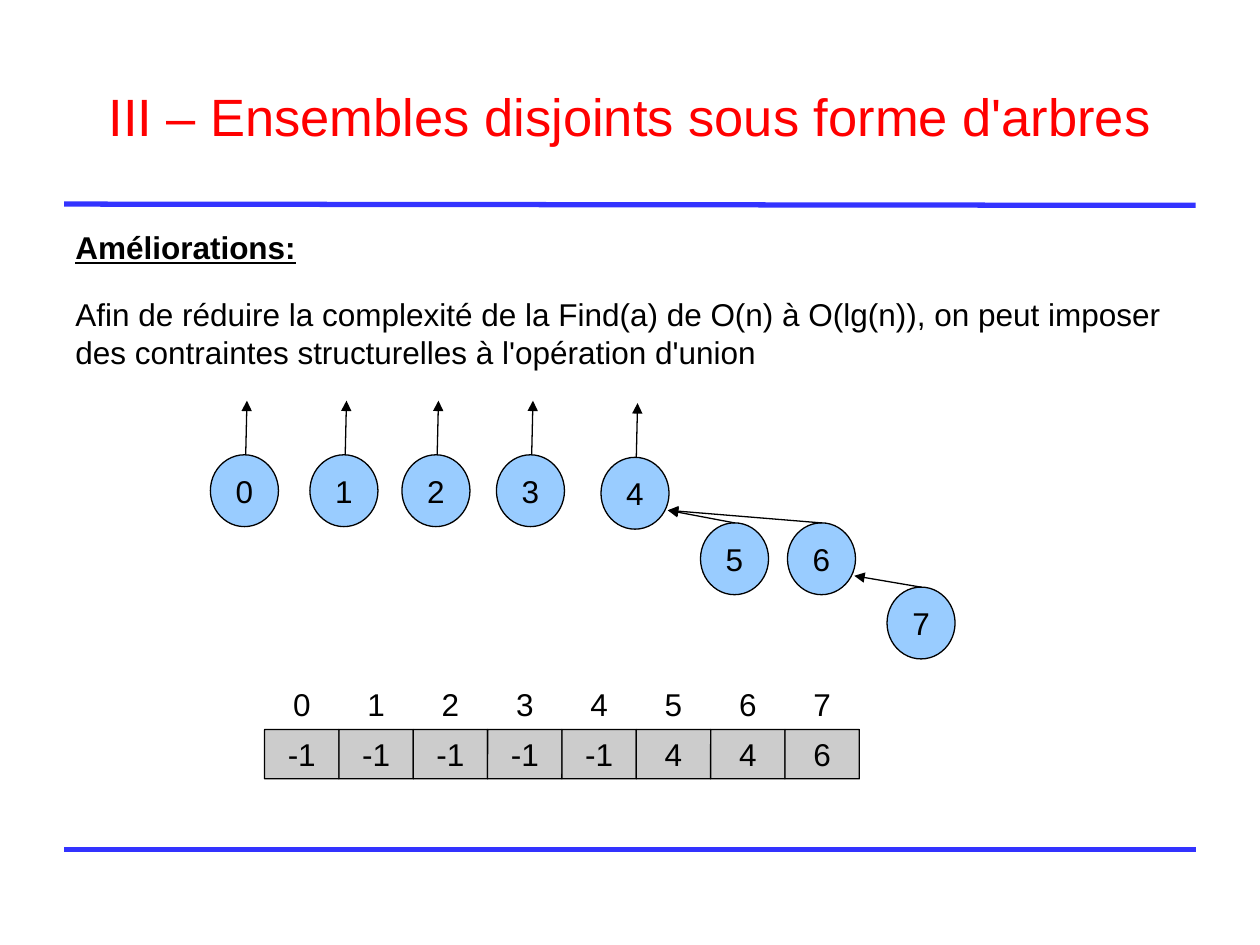
from lxml import etree
from pptx import Presentation
from pptx import util as u
from pptx.dml import color
from pptx.enum import shapes, text
from pptx.oxml import ns

TITLE = "III – Ensembles disjoints sous forme d'arbres"
HEAD = "Améliorations:"
BODY = ("Afin de réduire la complexité de la Find(a) de O(n) à O(lg(n)), "
        "on peut imposer des contraintes structurelles à l'opération d'union")
PARENTS = [-1, -1, -1, -1, -1, 4, 4, 6]
NODES = [(1.67, 3.61), (2.46, 3.61), (3.19, 3.61), (3.94, 3.61),
         (4.77, 3.63), (5.56, 4.15), (6.25, 4.15), (7.04, 4.66)]
RULES = [(6.74, 6.74), (1.62, 1.63)]
NODE_W, NODE_H = 0.54, 0.57
CELL_X, CELL_W, CELL_H = 2.1, 0.59, 0.39
INDEX_Y, VALUE_Y = 5.39, 5.79

PLAIN = {"name": "Arial", "size": u.Pt(18)}
BOLD = {**PLAIN, "bold": True, "underline": True}
LARGE = {**PLAIN, "size": u.Pt(30)}
CENTER = {"alignment": text.PP_ALIGN.CENTER}
MIDDLE = text.MSO_ANCHOR.MIDDLE
KIND = shapes.MSO_SHAPE


def rgb(code):
    return color.RGBColor.from_string(code)


def apply(item, form):
    for key, val in form.items():
        setattr(item, key, val)


def write(para, words, font, form, ink="000000"):
    run = para.add_run()
    run.text = words
    apply(run.font, font)
    run.font.color.rgb = rgb(ink)
    apply(para, form)


def frame(shape, top, anchor):
    apply(shape.text_frame, {
        "word_wrap": True, "vertical_anchor": anchor,
        "margin_left": u.Inches(0.1), "margin_right": u.Inches(0.1),
        "margin_top": u.Inches(top), "margin_bottom": u.Inches(0.05)})
    return shape.text_frame


def box(slide, place, top, anchor):
    return frame(slide.shapes.add_textbox(*map(u.Inches, place)), top, anchor)


def block(slide, kind, place, words, fill, edge=None):
    shape = slide.shapes.add_shape(kind, *map(u.Inches, place))
    shape.shadow.inherit = False
    shape.fill.solid()
    shape.fill.fore_color.rgb = rgb(fill)
    if edge:
        shape.line.color.rgb = rgb(edge)
        shape.line.width = u.Pt(0.75)
    else:
        shape.line.fill.background()
    if kind == KIND.ROUNDED_RECTANGLE:
        shape.adjustments[0] = 0.004
    area = frame(shape, 0.05, MIDDLE)
    area.word_wrap = False
    write(area.paragraphs[0], str(words), PLAIN, CENTER)


def line(slide, ends, ink, width, head=False):
    link = slide.shapes.add_connector(
        shapes.MSO_CONNECTOR.STRAIGHT, *map(u.Inches, ends))
    link.line.color.rgb = rgb(ink)
    link.line.width = u.Pt(width)
    if head:
        etree.SubElement(link.line._get_or_add_ln(), ns.qn("a:headEnd"),
                         type="triangle")
    etree.SubElement(link._element.spPr, ns.qn("a:effectLst"))


def draw_text(slide):
    title = box(slide, (0.5, 0.3, 9, 1.25), 0.08, MIDDLE)
    write(title.paragraphs[0], TITLE, LARGE,
          {**CENTER, "line_spacing": 0.93}, "FF0000")
    body = box(slide, (0.5, 1.75, 9.27, 2.19), 0.13, text.MSO_ANCHOR.TOP)
    write(body.paragraphs[0], HEAD, BOLD, {"line_spacing": 0.75})
    write(body.add_paragraph(), BODY, PLAIN, {"space_before": u.Pt(17)})


def draw_array(slide):
    for i, parent in enumerate(PARENTS):
        left = CELL_X + i * CELL_W
        for top, words, fill, edge in ((INDEX_Y, i, "FFFFFF", None),
                                       (VALUE_Y, parent, "CCCCCC", "000000")):
            block(slide, KIND.ROUNDED_RECTANGLE,
                  (left, top, CELL_W, CELL_H), words, fill, edge)


def draw_trees(slide):
    for i, ((x, y), parent) in enumerate(zip(NODES, PARENTS)):
        block(slide, KIND.OVAL, (x, y, NODE_W, NODE_H), i, "99CCFF", "000000")
        if parent < 0:
            ends = x + 0.29, y - 0.43, x + 0.28, y
        else:
            px, py = NODES[parent]
            ends = px + 0.53, py + 0.42, x + NODE_W / 2, y
        line(slide, ends, "000000", 0.75, True)


def main():
    deck = Presentation()
    deck.slide_width, deck.slide_height = u.Inches(10), u.Inches(7.5)
    slide = deck.slides.add_slide(deck.slide_layouts[6])
    for start, end in RULES:
        line(slide, (0.51, start, 9.49, end), "3333FF", 3)
    draw_text(slide)
    draw_array(slide)
    draw_trees(slide)
    deck.save("out.pptx")


if __name__ == "__main__":
    main()
